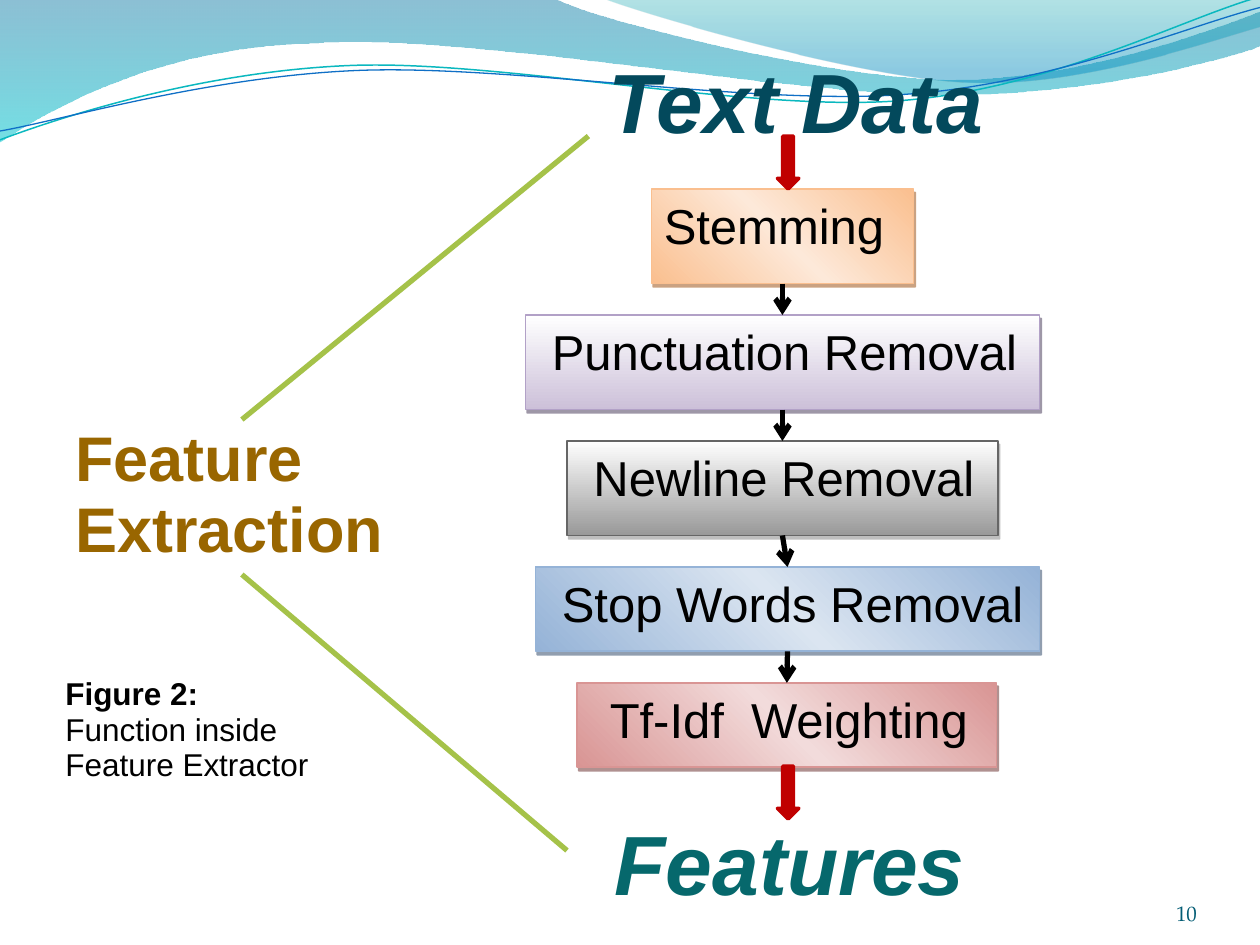
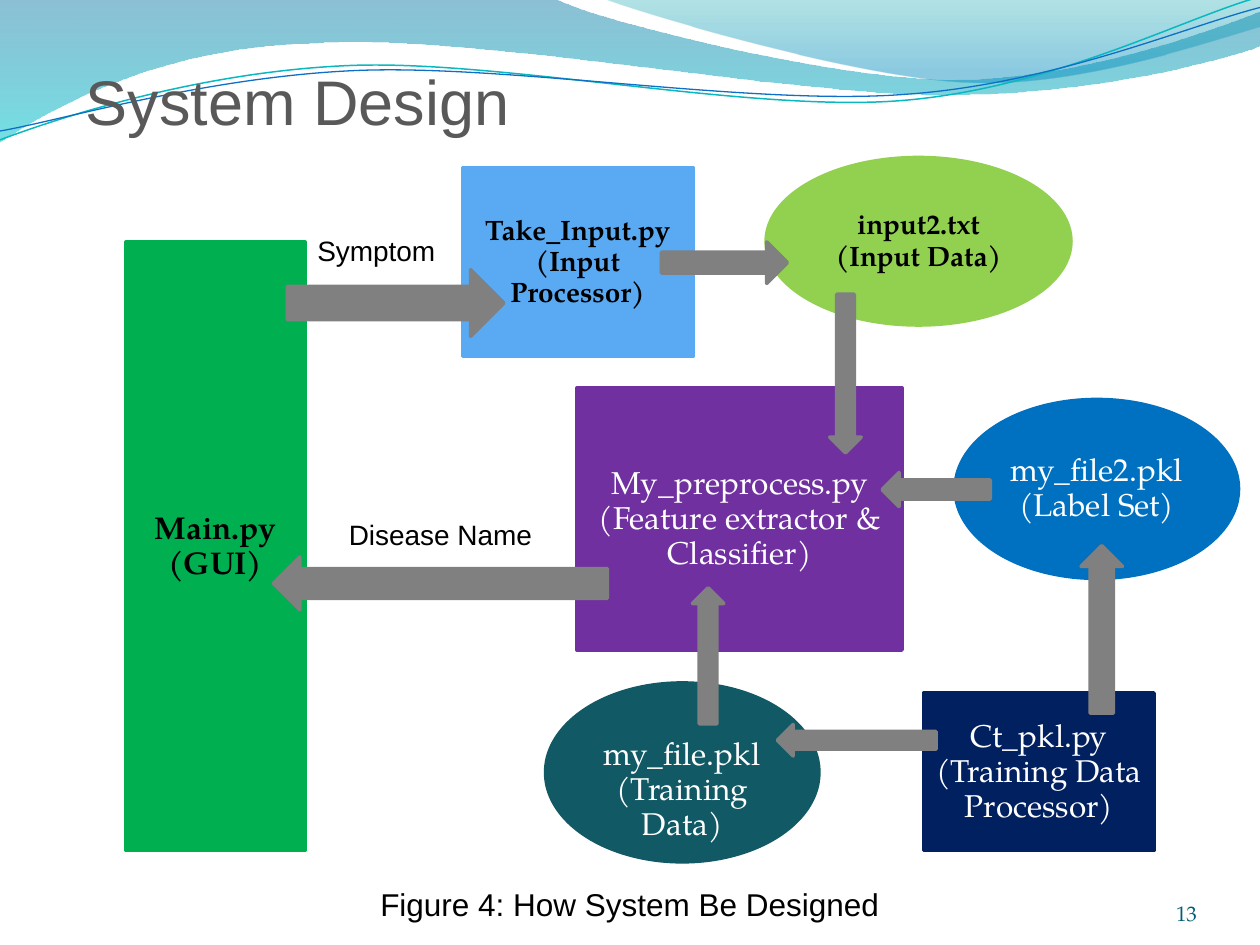
from math import cos, radians, sin

from lxml import etree
from pptx import Presentation
from pptx.dml.color import RGBColor
from pptx.enum.shapes import MSO_CONNECTOR, MSO_SHAPE
from pptx.enum.text import MSO_ANCHOR, PP_ALIGN
from pptx.oxml.ns import qn
from pptx.util import Inches, Pt

LEFT, CENTER, RIGHT = PP_ALIGN.LEFT, PP_ALIGN.CENTER, PP_ALIGN.RIGHT
TOP, MIDDLE, BOTTOM = MSO_ANCHOR.TOP, MSO_ANCHOR.MIDDLE, MSO_ANCHOR.BOTTOM
RECTANGLE, ELLIPSE = MSO_SHAPE.RECTANGLE, MSO_SHAPE.OVAL
RIGHT_ARROW, DOWN_ARROW = MSO_SHAPE.RIGHT_ARROW, MSO_SHAPE.DOWN_ARROW
STRAIGHT = MSO_CONNECTOR.STRAIGHT

SANS, SERIF = "Arial", "TeX Gyre Pagella"
BLACK = RGBColor(0x00, 0x00, 0x00)
WHITE = RGBColor(0xFF, 0xFF, 0xFF)
DARK_GRAY = RGBColor(0x59, 0x59, 0x59)
ARROW_GRAY = RGBColor(0x80, 0x80, 0x80)
RED = RGBColor(0xC0, 0x00, 0x00)
OLIVE = RGBColor(0xA5, 0xC2, 0x49)
BROWN = RGBColor(0x99, 0x66, 0x00)
DEEP_TEAL = RGBColor(0x03, 0x49, 0x5C)
FEATURE_TEAL = RGBColor(0x06, 0x68, 0x6C)
NUMBER_TEAL = RGBColor(0x04, 0x5D, 0x75)
GREEN = RGBColor(0x00, 0xB0, 0x50)
SKY = RGBColor(0x59, 0xAA, 0xF2)
NAVY = RGBColor(0x00, 0x20, 0x60)
PURPLE = RGBColor(0x70, 0x30, 0xA0)
PINE = RGBColor(0x11, 0x59, 0x64)
LIME = RGBColor(0x92, 0xD0, 0x50)
BLUE = RGBColor(0x00, 0x70, 0xC0)
CYAN_LINE = RGBColor(0x0A, 0xB8, 0xBF)
BLUE_LINE = RGBColor(0x0F, 0x6F, 0xC6)
ORANGE = RGBColor(0xFA, 0xBF, 0x8F)
PALE_ORANGE = RGBColor(0xFD, 0xE9, 0xD9)
ORANGE_SHADOW = RGBColor(0x97, 0x47, 0x06)
LILAC = RGBColor(0xCC, 0xC0, 0xD9)
LILAC_LINE = RGBColor(0xB2, 0xA1, 0xC7)
LILAC_SHADOW = RGBColor(0x3F, 0x31, 0x51)
SILVER = RGBColor(0x99, 0x99, 0x99)
SILVER_LINE = RGBColor(0x66, 0x66, 0x66)
SILVER_SHADOW = RGBColor(0x7F, 0x7F, 0x7F)
STEEL = RGBColor(0x95, 0xB3, 0xD7)
PALE_STEEL = RGBColor(0xDB, 0xE5, 0xF1)
STEEL_SHADOW = RGBColor(0x24, 0x3F, 0x60)
ROSE = RGBColor(0xD9, 0x95, 0x94)
PALE_ROSE = RGBColor(0xF2, 0xDB, 0xDB)
ROSE_SHADOW = RGBColor(0x62, 0x24, 0x23)
WAVE_BLUE = RGBColor(0x00, 0x74, 0xA1)
WAVE_CYAN = RGBColor(0x00, 0xC6, 0xCF)
WAVE_TEAL = RGBColor(0x00, 0xA1, 0xA9)
WAVE_SKY = RGBColor(0x00, 0x8B, 0xBF)

WAVE_BANDS = [
    ([(0, 0), (4.4, -0.01),
      (4.76, 0.17, 6.64, 0.63, 7.58, 0.63), (8.53, 0.63, 9.58, 0.26, 10, 0.09),
      (10.01, 0.36), (9.83, 0.44, 8.7, 0.76, 7.46, 0.75),
      (6.22, 0.75, 3.82, 0.28, 2.57, 0.34), (1.29, 0.36, 0.46, 0.83, -0.01, 1.13), (0, 0)],
     [(0, WAVE_BLUE, 45), (100, WAVE_CYAN, 55)]),
    ([(4.79, -0.01), (5.09, 0.11, 6.82, 0.62, 7.69, 0.65),
      (8.56, 0.69, 9.61, 0.32, 10, 0.21), (10, 0), (4.79, -0.01)],
     [(0, WAVE_TEAL, 30), (80, WAVE_SKY, 45)]),
]
WAVE_TILT = -2.7
WAVE_LINES = [
    ([(0, 1.11), (0.48, 0.93, 1.58, 0.57, 2.77, 0.52),
      (3.95, 0.47, 5.93, 0.89, 7.13, 0.8), (8.33, 0.71, 9.38, 0.15, 9.98, -0.02)],
     (4.99, 0.58), CYAN_LINE, 0.85),
    ([(0, 1.04), (0.47, 0.96, 1.64, 0.61, 2.83, 0.56),
      (4.03, 0.51, 5.97, 0.84, 7.17, 0.75), (8.36, 0.67, 9.41, 0.21, 10, 0.06)],
     (5, 0.59), BLUE_LINE, 0.75),
]

STEPS = [
    ("Stemming", (5.17, 1.5, 2.08, 0.75), 0.1,
     [ORANGE, PALE_ORANGE, ORANGE], 315, ORANGE, ORANGE_SHADOW),
    ("Punctuation Removal", (4.17, 2.5, 4.08, 0.75), 0.21,
     [WHITE, LILAC], 90, LILAC_LINE, LILAC_SHADOW),
    ("Newline Removal", (4.5, 3.5, 3.42, 0.75), 0.21,
     [WHITE, SILVER], 90, SILVER_LINE, SILVER_SHADOW),
    ("Stop Words Removal", (4.25, 4.5, 4, 0.67), 0.21,
     [STEEL, PALE_STEEL, STEEL], 315, STEEL, STEEL_SHADOW),
    ("Tf-Idf  Weighting", (4.58, 5.42, 3.33, 0.67), 0.26,
     [ROSE, PALE_ROSE, ROSE], 315, ROSE, ROSE_SHADOW),
]
END_ARROWS = [(6.17, 1.08, 0.17, 0.42), (6.17, 6.08, 0.17, 0.42)]
ZOOM_LINES = [((1.92, 3.33), (4.67, 1.08)), ((1.92, 4.56), (4.5, 6.75))]

COMPONENTS = [
    (RECTANGLE, (1, 1.92, 1.42, 4.83), ["Main.py", "(GUI)"], GREEN, 18, BLACK, True),
    (RECTANGLE, (3.67, 1.33, 1.83, 1.5), ["Take_Input.py", "(Input Processor)"], SKY, 16, BLACK, True),
    (RECTANGLE, (7.33, 5.5, 1.83, 1.25), ["Ct_pkl.py", "(Training Data Processor)"], NAVY, 18, WHITE, False),
    (RECTANGLE, (4.58, 3.08, 2.58, 2.08), ["My_preprocess.py", "(Feature extractor & Classifier)"],
     PURPLE, 18, WHITE, False),
    (ELLIPSE, (4.33, 5.42, 2.17, 1.42), ["my_file.pkl", "(Training Data)"], PINE, 18, WHITE, False),
    (ELLIPSE, (6.08, 1.25, 2.42, 1.33), ["input2.txt", "(Input Data)"], LIME, 16, BLACK, True),
    (ELLIPSE, (7.58, 3.17, 2.25, 1.42), ["my_file2.pkl", "(Label Set)"], BLUE, 18, WHITE, False),
]
LOWERED_COMPONENT, LOWERED_MARGIN = "my_file.pkl", 0.33
FLOW_ARROWS = [
    ((2.28, 2.14, 1.72, 0.53), 0, 0.5),
    ((5.25, 1.92, 1, 0.33), 0, 0.5),
    ((6.08, 2.84, 1.26, 0.25), 90, 0.56),
    ((7, 3.75, 0.86, 0.27), 180, 0.56),
    ((5.08, 5.08, 1.08, 0.25), 270, 0.56),
    ((6.17, 5.75, 1.26, 0.25), 180, 0.56),
    ((2.17, 4.42, 2.65, 0.42), 180, 0.56),
    ((8.08, 4.83, 1.33, 0.33), 270, 0.56),
]
LABELS = [
    ("Figure 4: How System Be Designed", (2.92, 7, 4.5, 0.38), 18),
    ("Symptom", (2.42, 1.83, 1.6, 0.35), 16),
    ("Disease Name", (2.67, 4.08, 2.17, 0.35), 16),
]


def inches(values):
    return [Inches(value) for value in values]


def write(frame, lines, size, color, font=SANS, bold=False, italic=False,
          align=LEFT, anchor=TOP, spacing=0.93):
    frame.word_wrap = True
    frame.vertical_anchor = anchor
    for index, line in enumerate(lines):
        paragraph = frame.add_paragraph() if index else frame.paragraphs[0]
        paragraph.alignment = align
        paragraph.line_spacing = spacing
        run = paragraph.add_run()
        run.text = line
        run.font.name, run.font.size = font, Pt(size)
        run.font.bold, run.font.italic = bold, italic
        run.font.color.rgb = color


def add_text(slide, box, lines, size, color, **style):
    frame = slide.shapes.add_textbox(*inches(box)).text_frame
    write(frame, lines, size, color, **style)
    return frame


def set_title(slide, box, text, size, color, **style):
    title = slide.shapes.title
    title.left, title.top, title.width, title.height = inches(box)
    write(title.text_frame, [text], size, color, **style)


def add_solid(slide, kind, box, color):
    shape = slide.shapes.add_shape(kind, *inches(box))
    shape.shadow.inherit = False
    shape.fill.solid()
    shape.fill.fore_color.rgb = color
    shape.line.color.rgb = color
    shape.line.width = Pt(2)
    return shape


def add_color(parent, color, opacity):
    element = etree.SubElement(parent, qn("a:srgbClr"), val=str(color))
    if opacity < 100:
        etree.SubElement(element, qn("a:alpha"), val=str(opacity * 1000))


def set_gradient(shape, stops, angle):
    shape.fill.gradient()
    gradient = shape._element.spPr.find(qn("a:gradFill"))
    stop_list = gradient.find(qn("a:gsLst"))
    for old_stop in list(stop_list):
        stop_list.remove(old_stop)
    for position, color, opacity in stops:
        stop = etree.SubElement(stop_list, qn("a:gs"), pos=str(position * 1000))
        add_color(stop, color, opacity)
    gradient.find(qn("a:lin")).set("ang", str(angle * 60000))


def set_shadow(shape, color):
    shape.shadow.inherit = False
    effects = shape._element.spPr.find(qn("a:effectLst"))
    shadow = etree.SubElement(effects, qn("a:outerShdw"), blurRad="0", dist=str(Pt(2.2)),
                              dir=str(63 * 60000), algn="ctr", rotWithShape="0")
    add_color(shadow, color, 50)


def add_line(slide, start, end, color, arrow=False):
    connector = slide.shapes.add_connector(STRAIGHT, *inches(start + end))
    connector.line.color.rgb = color
    connector.line.width = Pt(3)
    if arrow:
        etree.SubElement(connector.line._get_or_add_ln(), qn("a:tailEnd"), type="arrow")
    etree.SubElement(connector._element.spPr, qn("a:effectLst"))


def turn(point, center, degrees):
    angle = radians(degrees)
    x, y = point[0] - center[0], point[1] - center[1]
    return (center[0] + x * cos(angle) - y * sin(angle),
            center[1] + x * sin(angle) + y * cos(angle))


def add_curve(slide, segments, close, center=(0, 0), tilt=0):
    points = [turn(segment[index:index + 2], center, -tilt)
              for segment in segments for index in range(0, len(segment), 2)]
    vertices = [tuple(inches(point)) for point in points]
    builder = slide.shapes.build_freeform(*vertices[0])
    builder.add_line_segments(vertices[1:], close=close)
    shape = builder.convert_to_shape()
    shape.shadow.inherit = False
    shape.rotation = tilt
    straight_lines = iter(list(shape._element.spPr.iter(qn("a:lnTo"))))
    for segment in segments[1:]:
        first = next(straight_lines)
        if len(segment) == 6:
            curve = etree.Element(qn("a:cubicBezTo"))
            first.addprevious(curve)
            for line in (first, next(straight_lines), next(straight_lines)):
                curve.append(line[0])
                line.getparent().remove(line)
    return shape


def add_waves(master, slide):
    waves = []
    for segments, stops in WAVE_BANDS:
        band = add_curve(slide, segments, True)
        set_gradient(band, stops, 90)
        band.line.fill.background()
        waves.append(band)
    for segments, center, color, width in WAVE_LINES:
        curve = add_curve(slide, segments, False, center, WAVE_TILT)
        curve.fill.background()
        curve.line.color.rgb = color
        curve.line.width = Pt(width)
        waves.append(curve)
    for wave in waves:
        master.shapes._spTree.append(wave._element)


def add_number(slide, number):
    frame = add_text(slide, (8.67, 6.95, 0.83, 0.4), [number], 12, NUMBER_TEAL,
                     font=SERIF, align=RIGHT, anchor=BOTTOM, spacing=1)
    frame.margin_left = frame.margin_top = frame.margin_right = frame.margin_bottom = 0


def build_feature_slide(slide):
    heading = dict(bold=True, italic=True, anchor=MIDDLE, spacing=1)
    set_title(slide, (4.73, 0.29, 3.6, 1), "Text Data", 48, DEEP_TEAL, **heading)
    for text, box, margin, colors, angle, line_color, shadow_color in STEPS:
        shape = slide.shapes.add_shape(RECTANGLE, *inches(box))
        last = len(colors) - 1
        set_gradient(shape, [(100 * index // last, color, 100) for index, color in enumerate(colors)], angle)
        shape.line.color.rgb = line_color
        shape.line.width = Pt(1)
        set_shadow(shape, shadow_color)
        write(shape.text_frame, [text], 28, BLACK, spacing=1)
        shape.text_frame.margin_left, shape.text_frame.margin_right = Inches(margin), 0
    add_text(slide, (4.78, 6.34, 3.6, 1), ["Features"], 48, FEATURE_TEAL, **heading)
    boxes = [step[1] for step in STEPS]
    for (left, top, width, height), (next_left, next_top, next_width, _) in zip(boxes, boxes[1:]):
        add_line(slide, (left + width / 2, top + height),
                 (next_left + next_width / 2, next_top), BLACK, arrow=True)
    for box in END_ARROWS:
        add_solid(slide, DOWN_ARROW, box, RED)
    add_text(slide, (0.5, 3.33, 2.83, 1.23), ["Feature", "Extraction"], 36, BROWN, bold=True)
    for start, end in ZOOM_LINES:
        add_line(slide, start, end, OLIVE)
    caption = add_text(slide, (0.42, 5.33, 2.25, 0.95),
                       ["Figure 2:", "Function inside", "Feature Extractor"], 18, BLACK)
    caption.paragraphs[0].runs[0].font.bold = True
    add_number(slide, "10")


def build_system_slide(slide):
    set_title(slide, (0.58, 0.5, 4, 0.66), "System Design", 36, DARK_GRAY)
    for kind, box, lines, fill, size, color, bold in COMPONENTS:
        shape = add_solid(slide, kind, box, fill)
        write(shape.text_frame, lines, size, color, font=SERIF, bold=bold, align=CENTER, anchor=MIDDLE)
        if lines[0] == LOWERED_COMPONENT:
            shape.text_frame.margin_top = Inches(LOWERED_MARGIN)
    for box, rotation, shaft in FLOW_ARROWS:
        arrow = add_solid(slide, RIGHT_ARROW, box, ARROW_GRAY)
        arrow.rotation = rotation
        arrow.adjustments[0] = shaft
    for text, box, size in LABELS:
        add_text(slide, box, [text], size, BLACK)
    add_number(slide, "13")


def main():
    presentation = Presentation()
    presentation.slide_width, presentation.slide_height = Inches(10), Inches(7.5)
    layout = presentation.slide_layouts[5]
    feature_slide, system_slide = [presentation.slides.add_slide(layout) for _ in range(2)]
    add_waves(presentation.slide_master, feature_slide)
    build_feature_slide(feature_slide)
    build_system_slide(system_slide)
    presentation.save("out.pptx")


if __name__ == "__main__":
    main()
